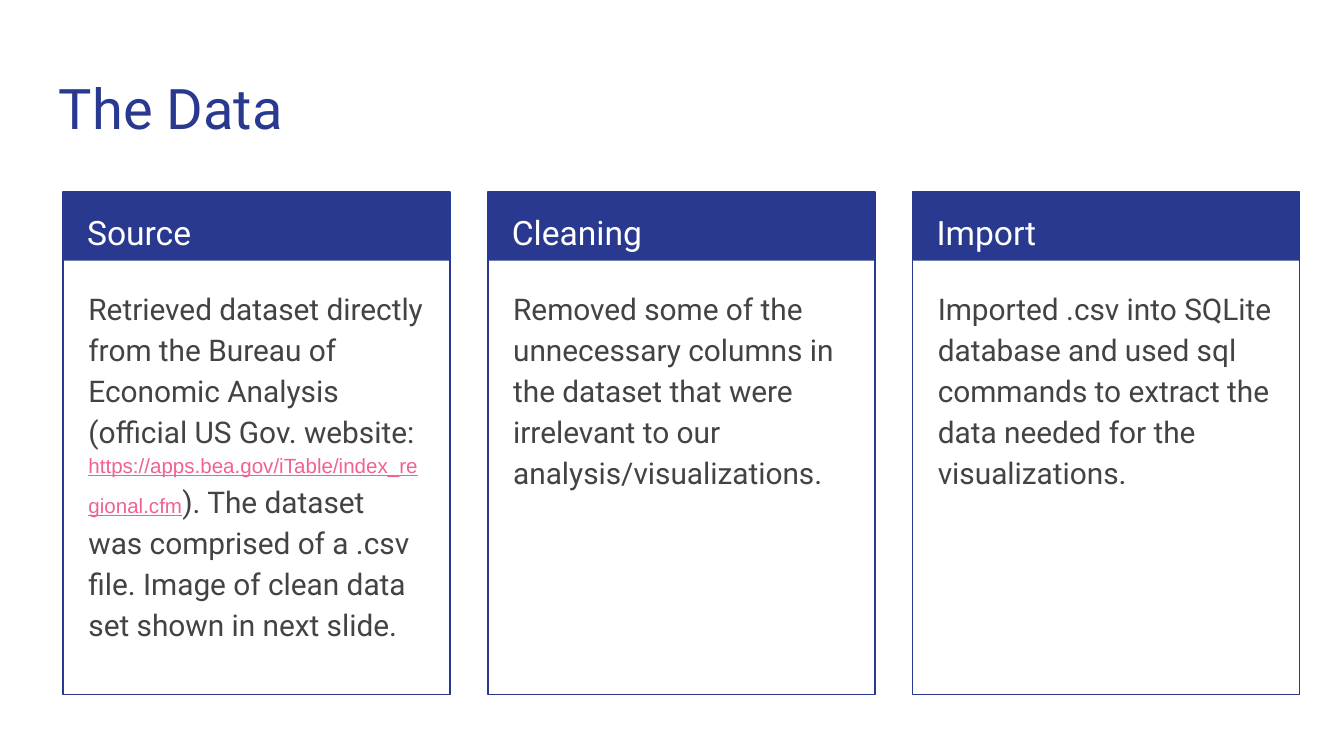
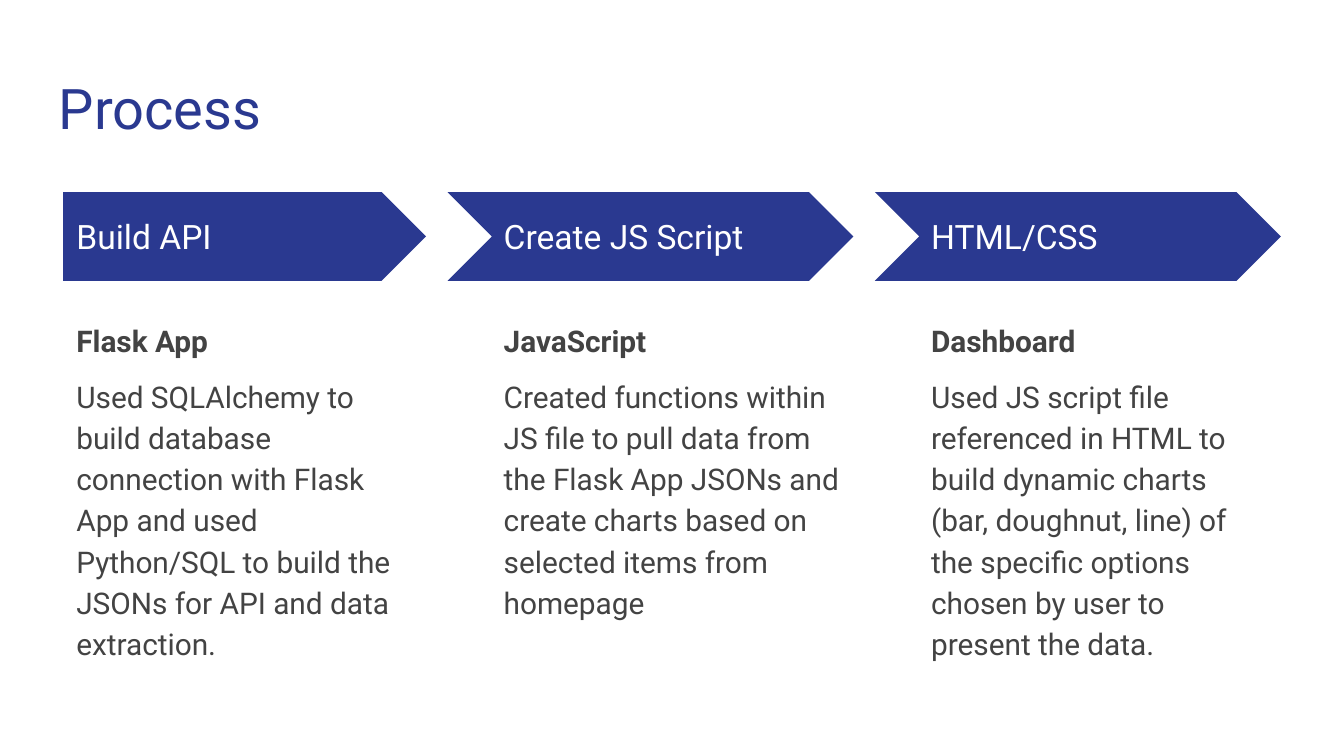
"""Build the two slides on the data and the process."""
from dataclasses import dataclass

from pptx import Presentation
from pptx import util as u
from pptx.dml.color import RGBColor
from pptx.enum import shapes, text

DATA_TITLE = "The Data"
DATA_CARDS = [
    ("Source", [
        ("Retrieved dataset directly from the Bureau of Economic Analysis "
         "(official US Gov. website: ", "body"),
        ("https://apps.bea.gov/iTable/index_regional.cfm", "address"),
        ("). The dataset was comprised of a .csv file. "
         "Image of clean data set shown in next slide.", "body"),
    ]),
    ("Cleaning", [
        ("Removed some of the unnecessary columns in the dataset that were "
         "irrelevant to our analysis/visualizations.", "body"),
    ]),
    ("Import", [
        ("Imported .csv into SQLite database and used sql commands to extract "
         "the data needed for the visualizations.", "body"),
    ]),
]
PROCESS_TITLE = "Process"
PROCESS_STEPS = [
    ("Build API", "Flask App",
     "Used SQLAlchemy to build database connection with Flask App and used "
     "Python/SQL to build the JSONs for API and data extraction."),
    ("Create JS Script", "JavaScript",
     "Created functions within JS file to pull data from the Flask App JSONs "
     "and create charts based on selected items from homepage"),
    ("HTML/CSS", "Dashboard",
     "Used JS script file referenced in HTML to build dynamic charts (bar, "
     "doughnut, line) of the specific options chosen by user to present the data."),
]


@dataclass(frozen=True)
class Style:
    size: int
    color: str
    font: str = "Roboto"
    bold: bool = False
    underline: bool = False


@dataclass(frozen=True)
class Theme:
    navy: str = "2A3990"
    outline: float = 0.75
    spacing: float = 1.15
    inset: float = 0.1
    title: Style = Style(30, "2A3990")
    heading: Style = Style(18, "FFFFFF")
    lead: Style = Style(16, "434343", bold=True)
    body: Style = Style(16, "434343")
    address: Style = Style(11, "F06292", "Arial", underline=True)


THEME = Theme()
WIDTH = 10
HEIGHT = WIDTH * 9 / 16
LEFT, TOP = 0.47, 1.43
CARD_PITCH, CARD_WIDTH, CARD_HEIGHT, BAND_HEIGHT = 3.16, 2.88, 3.74, 0.51
STEP_PITCH, STEP_WIDTH, ARROW_HEIGHT, NOTCH = 3.18, 2.7, 0.66, 0.32


def inches(*lengths):
    return [u.Inches(length) for length in lengths]


def set_font(font, style):
    font.name, font.size = style.font, u.Pt(style.size)
    font.bold, font.underline = style.bold, style.underline
    font.color.rgb = RGBColor.from_string(style.color)


def add_text(slide, box, paragraphs, spacing=None, before=0, after=0,
             anchor=text.MSO_ANCHOR.TOP):
    frame = slide.shapes.add_textbox(*inches(*box)).text_frame
    frame.word_wrap, frame.vertical_anchor = True, anchor
    frame.margin_left = frame.margin_right = u.Inches(THEME.inset)
    frame.margin_top = frame.margin_bottom = u.Inches(THEME.inset)
    for index, pieces in enumerate(paragraphs):
        paragraph = frame.add_paragraph() if index else frame.paragraphs[0]
        paragraph.line_spacing = spacing
        paragraph.space_before = u.Pt(before if index else 0)
        paragraph.space_after = u.Pt(after if index == len(paragraphs) - 1 else 0)
        for words, _ in pieces:
            paragraph.add_run().text = words
        if len(pieces) == 1:
            set_font(paragraph.font, getattr(THEME, pieces[0][1]))
        else:
            for run, (_, style) in zip(paragraph.runs, pieces):
                set_font(run.font, getattr(THEME, style))


def add_panel(parent, kind, box, filled=True):
    panel = parent.shapes.add_shape(kind, *inches(*box))
    panel.shadow.inherit = False
    navy = RGBColor.from_string(THEME.navy)
    if filled:
        panel.fill.solid()
        panel.fill.fore_color.rgb = navy
        panel.line.fill.background()
    else:
        panel.fill.background()
        panel.line.color.rgb = navy
        panel.line.width = u.Pt(THEME.outline)
    return panel


def add_titled_slide(deck, title):
    slide = deck.slides.add_slide(deck.slide_layouts[6])
    add_text(slide, (0.34, 0.45, 9.32, 0.66), [[(title, "title")]])
    return slide


def build_data(deck):
    slide = add_titled_slide(deck, DATA_TITLE)
    rectangle = shapes.MSO_SHAPE.RECTANGLE
    for column, (heading, pieces) in enumerate(DATA_CARDS):
        x = LEFT + column * CARD_PITCH
        card = slide.shapes.add_group_shape()
        add_panel(card, rectangle, (x, TOP, CARD_WIDTH, BAND_HEIGHT))
        add_panel(card, rectangle, (x, TOP, CARD_WIDTH, CARD_HEIGHT), filled=False)
        add_text(slide, (x + 0.08, TOP, 2.73, 0.5), [[(heading, "heading")]],
                 THEME.spacing)
        add_text(slide, (x + 0.09, 2.02, 2.7, 3.06), [pieces],
                 THEME.spacing, after=16)


def build_process(deck):
    slide = add_titled_slide(deck, PROCESS_TITLE)
    for column, (heading, lead, body) in enumerate(PROCESS_STEPS):
        x = LEFT + column * STEP_PITCH
        kind = shapes.MSO_SHAPE.CHEVRON if column else shapes.MSO_SHAPE.PENTAGON
        notch = NOTCH if column else 0
        arrow = add_panel(slide, kind,
                          (x - notch, TOP, STEP_WIDTH + notch, ARROW_HEIGHT))
        arrow.adjustments[0] = 0.5
        add_text(slide, (x, 1.59, 2.47, 0.34), [[(heading, "heading")]],
                 anchor=text.MSO_ANCHOR.MIDDLE)
        add_text(slide, (x, 2.26, STEP_WIDTH, 2.9),
                 [[(lead, "lead")], [(body, "body")]],
                 THEME.spacing, before=8, after=8)


def main():
    deck = Presentation()
    deck.slide_width, deck.slide_height = inches(WIDTH, HEIGHT)
    build_data(deck)
    build_process(deck)
    deck.save("out.pptx")


if __name__ == "__main__":
    main()
